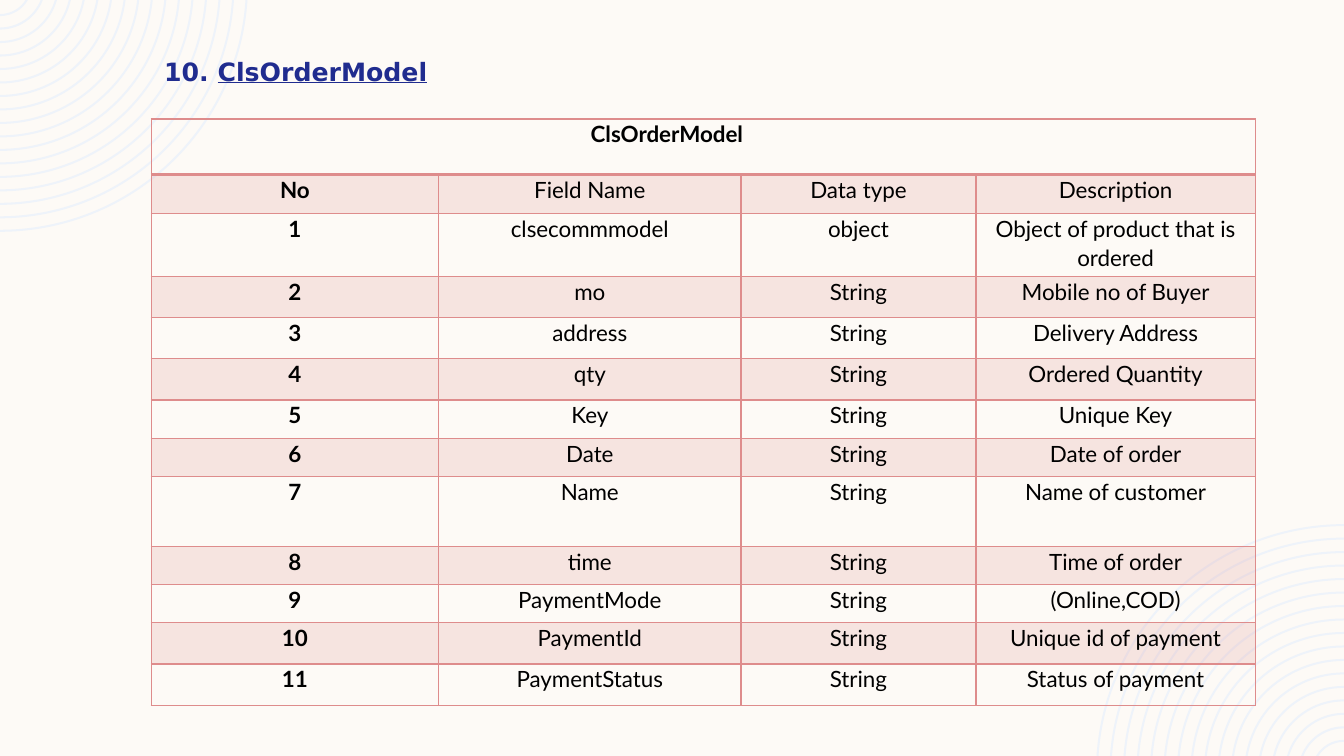
from math import asin, cos, degrees, pi, sin

from lxml.etree import Element, SubElement
from pptx import Presentation
from pptx.dml.color import RGBColor
from pptx.enum.text import PP_ALIGN
from pptx.oxml.ns import qn
from pptx.util import Inches, Pt

TITLE_NUMBER, TITLE_NAME = "10. ", "ClsOrderModel"
ROWS = [
    ("No", "Field Name", "Data type", "Description"),
    ("1", "clsecommmodel", "object", "Object of product that is ordered"),
    ("2", "mo", "String", "Mobile no of Buyer"),
    ("3", "address", "String", "Delivery Address"),
    ("4", "qty", "String", "Ordered Quantity"),
    ("5", "Key", "String", "Unique Key"),
    ("6", "Date", "String", "Date of order"),
    ("7", "Name", "String", "Name of customer"),
    ("8", "time", "String", "Time of order"),
    ("9", "PaymentMode", "String", "(Online,COD)"),
    ("10", "PaymentId", "String", "Unique id of payment"),
    ("11", "PaymentStatus", "String", "Status of payment"),
]
COL_WIDTHS = [2.85, 3, 2.33, 2.77]
ROW_HEIGHTS = [0.55, 0.39, 0.62, 0.41, 0.41, 0.41, 0.38,
               0.38, 0.69, 0.38, 0.38, 0.41, 0.41]

CREAM = RGBColor(0xFD, 0xFA, 0xF6)
PALE_BLUE = RGBColor(0xEE, 0xF3, 0xFA)
NAVY = RGBColor(0x20, 0x2C, 0x8F)
ROSE = RGBColor(0xDE, 0x8C, 0x8C)
BLACK = RGBColor(0, 0, 0)

SLIDE_W, SLIDE_H = 13.33, 7.5
RING_COUNT, RING_MIN, RING_MAX, RING_WIDTH = 17, 0.32, 2.46, 0.02
RING_OFFSET = 0.16  # how far the rings' centre lies beyond the slide edge


def start_angle(radius):
    """Angle at which a ring edge meets the slide's top edge."""
    return asin(RING_OFFSET / radius)


def bend(line, radius, start, end):
    """Turn a straight segment into a circular arc between two angles."""
    arc = Element(qn("a:arcTo"), wR=str(Inches(radius)), hR=str(Inches(radius)),
                  stAng=str(round(degrees(start) * 60000)),
                  swAng=str(round(degrees(end - start) * 60000)))
    line.getparent().replace(line, arc)


def add_rings(slide, opposite):
    """Concentric rings in the top left corner, or in the opposite one."""
    step = (RING_MAX - RING_MIN) / (RING_COUNT - 1)
    radii = [RING_MAX - i * step for i in range(RING_COUNT)]
    builder = None
    for outer in radii:
        inner = outer - RING_WIDTH
        corners = [(outer, start_angle(outer)), (outer, pi / 2),
                   (inner, pi / 2), (inner, start_angle(inner))]
        outline = [(r * cos(a), r * sin(a) - RING_OFFSET) for r, a in corners]
        if opposite:
            outline = [(SLIDE_W - x, SLIDE_H - y) for x, y in outline]
        points = [(Inches(x), Inches(y)) for x, y in outline]
        if builder is None:
            builder = slide.shapes.build_freeform(*points[0])
        else:
            builder.move_to(*points[0])
        builder.add_line_segments(points[1:])
    sp = builder.convert_to_shape()

    turn = pi if opposite else 0
    lines = list(sp.element.iter(qn("a:lnTo")))
    for outer, outer_line, inner_line in zip(radii, lines[0::3], lines[2::3]):
        inner = outer - RING_WIDTH
        bend(outer_line, outer, turn + start_angle(outer), turn + pi / 2)
        bend(inner_line, inner, turn + pi / 2, turn + start_angle(inner))
    sp.shadow.inherit = False
    sp.fill.solid()
    sp.fill.fore_color.rgb = PALE_BLUE
    sp.line.fill.background()


def format_paragraph(p, font_name, size, color, bold):
    p.line_spacing = 1.07
    p.space_after = Pt(8)
    p.font.name = font_name
    p.font.size = Pt(size)
    p.font.color.rgb = color
    p.font.bold = bold


def add_title(slide):
    box = slide.shapes.add_textbox(Inches(1.53), Inches(0.49), Inches(6.67), Inches(0.41))
    tf = box.text_frame
    tf.word_wrap = True
    p = tf.paragraphs[0]
    p.add_run().text = TITLE_NUMBER
    r = p.add_run()
    r.text = TITLE_NAME
    r.font.underline = True
    format_paragraph(p, "DejaVu Sans", 18, NAVY, True)


def set_borders(cell, **widths):
    tcPr = cell._tc.get_or_add_tcPr()
    for side in "LRTB":
        ln = SubElement(tcPr, qn(f"a:ln{side}"), w=str(Pt(widths.get(side, 1))))
        fill = SubElement(ln, qn("a:solidFill"))
        SubElement(fill, qn("a:srgbClr"), val=str(ROSE))


def fill_cell(cell, shaded):
    if not shaded:
        cell.fill.background()
        return
    cell.fill.solid()
    cell.fill.fore_color.rgb = ROSE
    color = cell._tc.tcPr.find(qn("a:solidFill")).find(qn("a:srgbClr"))
    SubElement(color, qn("a:alpha"), val="20000")


def add_field_table(slide):
    table = slide.shapes.add_table(
        len(ROW_HEIGHTS), len(COL_WIDTHS), Inches(1.5), Inches(1.18),
        Inches(sum(COL_WIDTHS)), Inches(sum(ROW_HEIGHTS))).table
    table.first_row = table.horz_banding = False
    for column, width in zip(table.columns, COL_WIDTHS):
        column.width = Inches(width)
    for row, height in zip(table.rows, ROW_HEIGHTS):
        row.height = Inches(height)

    heading = table.cell(0, 0)
    heading.merge(table.cell(0, len(COL_WIDTHS) - 1))
    for i, texts in enumerate([(TITLE_NAME, "", "", "")] + ROWS):
        rule = {0: {"B": 2}, 1: {"T": 2}}.get(i, {})
        for j, text in enumerate(texts):
            cell = table.cell(i, j)
            set_borders(cell, **rule)
            fill_cell(cell, i % 2 == 1)
            if not text:
                continue
            cell.margin_left = cell.margin_right = Inches(0.06)
            cell.margin_top = cell.margin_bottom = 0
            p = cell.text_frame.paragraphs[0]
            p.text = text
            p.alignment = PP_ALIGN.CENTER
            format_paragraph(p, "Lato", 16, BLACK, j == 0)
    heading.margin_right = Inches(0.78)  # sets the heading left of centre


def main():
    prs = Presentation()
    prs.slide_width, prs.slide_height = Inches(SLIDE_W), Inches(SLIDE_H)
    slide = prs.slides.add_slide(prs.slide_layouts[6])
    slide.background.fill.solid()
    slide.background.fill.fore_color.rgb = CREAM
    for opposite in (False, True):
        add_rings(slide, opposite)
    add_title(slide)
    add_field_table(slide)
    prs.save("out.pptx")


if __name__ == "__main__":
    main()
